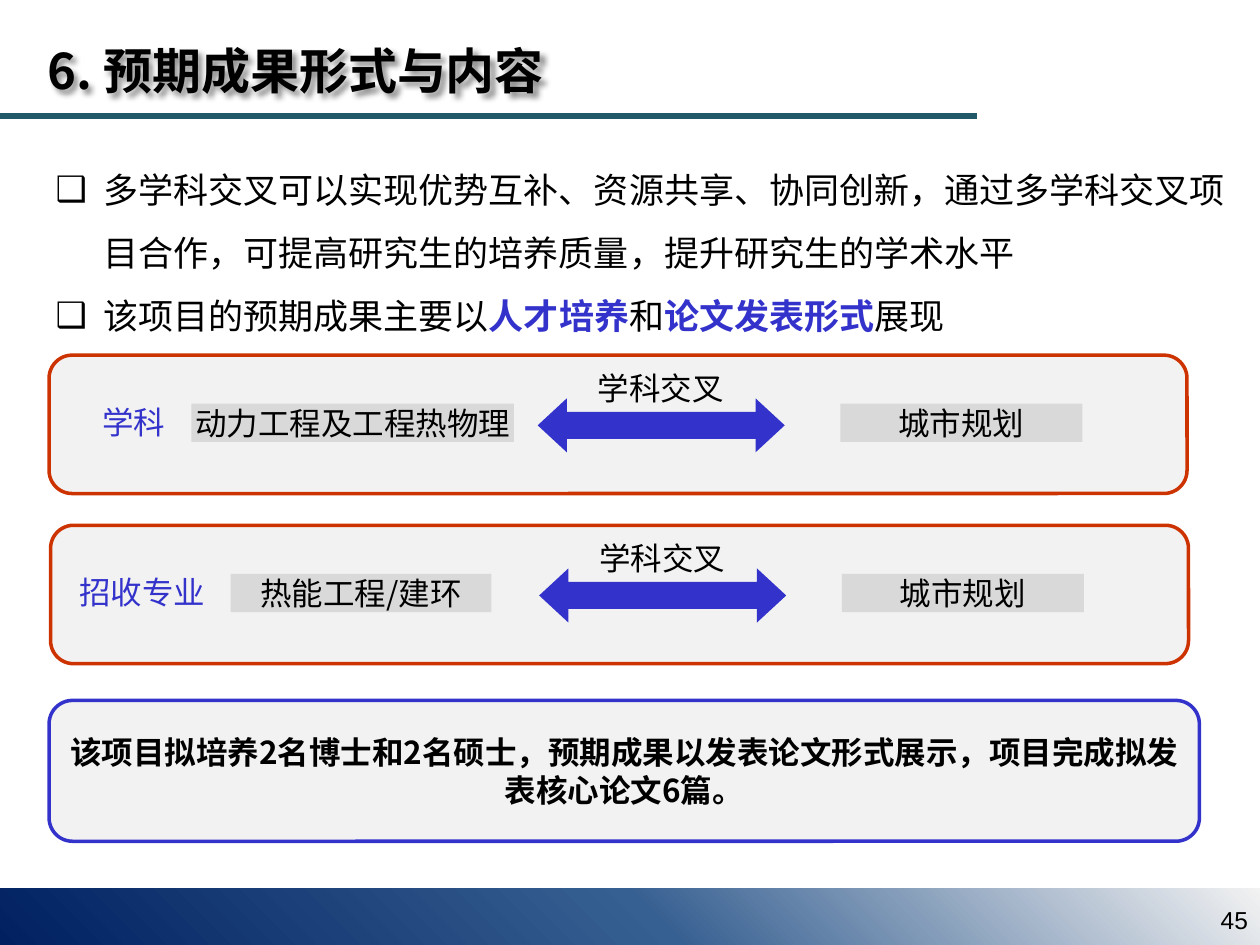
from lxml import etree
from pptx import Presentation
from pptx.dml.color import RGBColor
from pptx.enum.shapes import MSO_CONNECTOR, MSO_SHAPE
from pptx.enum.text import MSO_ANCHOR, MSO_AUTO_SIZE, PP_ALIGN
from pptx.oxml import parse_xml
from pptx.oxml.ns import qn
from pptx.util import Cm, Pt

RECTANGLE, ROUNDED = MSO_SHAPE.RECTANGLE, MSO_SHAPE.ROUNDED_RECTANGLE
ARROW = MSO_SHAPE.LEFT_RIGHT_ARROW
STRAIGHT = MSO_CONNECTOR.STRAIGHT
TOP, MIDDLE = MSO_ANCHOR.TOP, MSO_ANCHOR.MIDDLE
LEFT, CENTER, RIGHT = PP_ALIGN.LEFT, PP_ALIGN.CENTER, PP_ALIGN.RIGHT
NO_FIT = MSO_AUTO_SIZE.NONE

CJK = "Noto Sans CJK SC"
BLACK, BLUE, RED = "000000", "3333CC", "CC3300"
PALE, GREY, TEAL = "F2F2F2", "D9D9D9", "215968"
DRAWING = 'xmlns:a="http://schemas.openxmlformats.org/drawingml/2006/main"'


def color(value):
    return RGBColor.from_string(value)


def write(box, paragraphs, size=18, font=CJK, align=CENTER, anchor=TOP, inset=0, spacing=None, wrap=True):
    """Fill a box with paragraphs, each a list of (text, colour, bold) spans."""
    frame = box.text_frame
    frame_format = {"word_wrap": wrap, "auto_size": NO_FIT, "vertical_anchor": anchor}
    for side in ("left", "right", "top", "bottom"):
        frame_format[f"margin_{side}"] = Cm(inset)
    for name, value in frame_format.items():
        setattr(frame, name, value)
    for index, spans in enumerate(paragraphs):
        para = frame.add_paragraph() if index else frame.paragraphs[0]
        para.alignment, para.space_before = align, Pt(0)
        if spacing:
            para.line_spacing = spacing
        for text, ink, bold in spans:
            span = para.add_run()
            span.text = text
            for name, value in {"size": Pt(size), "bold": bold, "name": font}.items():
                setattr(span.font, name, value)
            span.font.color.rgb = color(ink)
            east_asian = etree.SubElement(span.font._element, qn("a:ea"))
            east_asian.set("typeface", font)


deck = Presentation()
deck.slide_width, deck.slide_height = Cm(25.4), Cm(19.05)
page = deck.slides.add_slide(deck.slide_layouts[1])
shapes = page.shapes

# Footer band, page number and title rule
band = shapes.add_shape(RECTANGLE, Cm(0), Cm(17.91), Cm(25.4), Cm(1.24))
band.shadow.inherit = False
band.line.fill.background()
band.fill.background()
properties = band._element.spPr
properties.find(qn("a:xfrm")).set("flipV", "1")
properties.replace(properties.find(qn("a:noFill")), parse_xml(
    f'<a:gradFill {DRAWING} rotWithShape="1"><a:gsLst>'
    '<a:gs pos="0"><a:srgbClr val="002060"/></a:gs>'
    '<a:gs pos="52000"><a:srgbClr val="376092"/></a:gs>'
    '<a:gs pos="100000"><a:srgbClr val="F2F2F2"/></a:gs></a:gsLst>'
    '<a:path path="circle"><a:fillToRect t="100000" r="100000"/></a:path></a:gradFill>'))

rule = shapes.add_connector(STRAIGHT, Cm(0), Cm(2.34), Cm(19.69), Cm(2.34))
rule.line.color.rgb, rule.line.width = color(TEAL), Pt(3.25)
etree.SubElement(rule._element.spPr, qn("a:effectLst"))

number = shapes.add_textbox(Cm(19.69), Cm(18.03), Cm(5.72), Cm(1.02))
write(number, [[("45", BLACK, False)]], 14, "Arial", RIGHT, MIDDLE, 0.25)

# Title and list
title, body = shapes.title, page.placeholders[1]
for box, place in ((title, (0.71, 0.33, 11.05, 1.6)), (body, (1.12, 2.97, 23.6, 3.84))):
    box.left, box.top, box.width, box.height = map(Cm, place)

write(title, [[("6. 预期成果形式与内容", BLACK, True)]], 28, align=LEFT, inset=0.2, spacing=1.3, wrap=False)
title.text_frame.margin_left, title.text_frame.margin_top = Cm(0.25), Cm(0.13)
title._element.spPr.append(parse_xml(
    f'<a:effectLst {DRAWING}><a:outerShdw blurRad="38100" dist="38100" dir="2700000">'
    '<a:srgbClr val="000000"><a:alpha val="43000"/></a:srgbClr></a:outerShdw></a:effectLst>'))

write(body, [
    [("多学科交叉可以实现优势互补、资源共享、协同创新，通过多学科交叉项目合作，"
      "可提高研究生的培养质量，提升研究生的学术水平", BLACK, False)],
    [("该项目的预期成果主要以", BLACK, False), ("人才培养", BLUE, True), ("和", BLACK, False),
     ("论文发表形式", BLUE, True), ("展现", BLACK, False)],
], 20, align=LEFT, spacing=1.5)
for para in body.text_frame.paragraphs:
    settings = para._p.get_or_add_pPr()
    settings.set("marL", str(Cm(0.96)))
    settings.set("indent", str(-Cm(0.96)))
    etree.SubElement(settings, qn("a:buChar")).set("char", "❑")

# Discipline rows: panel left and top, then (text, left, width) of label and field
rows = [
    (0.99, 7.16, ("学科", 1.93, 2.57), ("动力工程及工程热物理", 3.86, 6.5)),
    (1.02, 10.59, ("招收专业", 1.47, 3.18), ("热能工程/建环", 4.65, 5.26)),
]
for left, top, (label_text, label_left, label_width), field in rows:
    panel = shapes.add_shape(ROUNDED, Cm(left), Cm(top), Cm(22.94), Cm(2.79))
    arrow = shapes.add_shape(ARROW, Cm(left + 9.85), Cm(top + 0.87), Cm(4.98), Cm(1.09))
    arrow.adjustments[0], arrow.adjustments[1] = 0.5, 0.54
    for shape, fill in ((panel, PALE), (arrow, BLUE)):
        shape.shadow.inherit = False
        shape.fill.solid()
        shape.fill.fore_color.rgb = color(fill)
    panel.line.color.rgb, panel.line.width = color(RED), Pt(2)
    arrow.line.fill.background()

    for text, field_left, field_width in (field, ("城市规划", left + 15.95, 4.88)):
        chip = shapes.add_shape(RECTANGLE, Cm(field_left), Cm(top + 0.98), Cm(field_width), Cm(0.77))
        chip.shadow.inherit = False
        chip.fill.solid()
        chip.fill.fore_color.rgb = color(GREY)
        chip.line.fill.background()
        write(chip, [[(text, BLACK, False)]], anchor=MIDDLE)

    label = shapes.add_textbox(Cm(label_left), Cm(top + 0.83), Cm(label_width), Cm(1.02))
    write(label, [[(label_text, BLUE, False)]], align=LEFT, inset=0.13)
    caption = shapes.add_textbox(Cm(left + 10.05), Cm(top + 0.27), Cm(4.57), Cm(0.77))
    write(caption, [[("学科交叉", BLACK, False)]])

# Summary
summary = shapes.add_shape(ROUNDED, Cm(0.99), Cm(14.12), Cm(23.19), Cm(2.84))
summary.shadow.inherit = False
summary.fill.solid()
summary.fill.fore_color.rgb = color(PALE)
summary.line.color.rgb, summary.line.width = color(BLUE), Pt(2)
write(summary, [[("该项目拟培养2名博士和2名硕士，预期成果以发表论文形式展示，项目完成拟发表核心论文6篇。", BLACK, True)]],
      anchor=MIDDLE)

deck.save("out.pptx")
